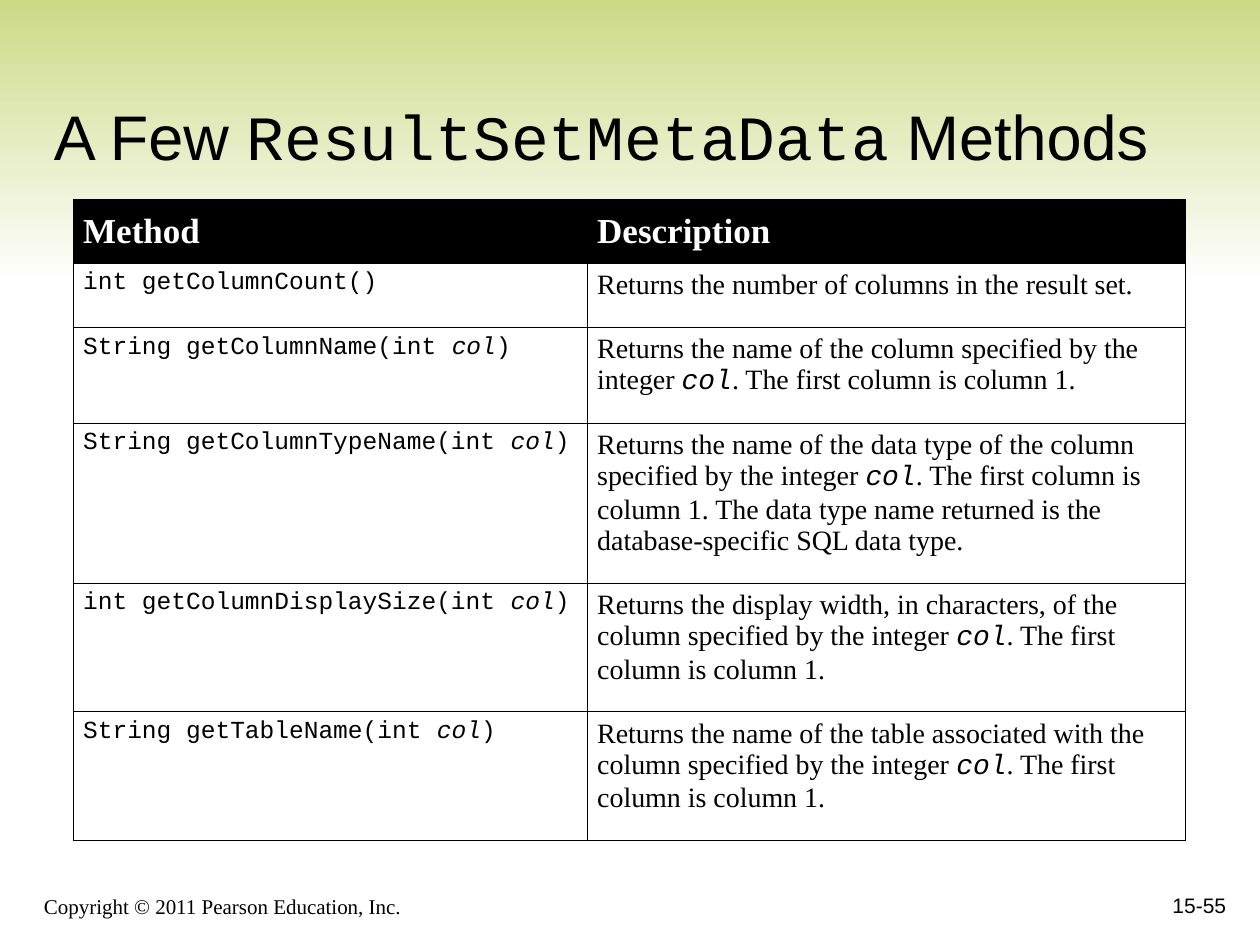
from lxml import etree
from pptx import Presentation
from pptx.dml.color import RGBColor
from pptx.enum.shapes import MSO_SHAPE
from pptx.enum.text import MSO_ANCHOR, PP_ALIGN
from pptx.oxml.ns import qn
from pptx.util import Inches, Pt

RECTANGLE = MSO_SHAPE.RECTANGLE
TOP, MIDDLE, BOTTOM = MSO_ANCHOR.TOP, MSO_ANCHOR.MIDDLE, MSO_ANCHOR.BOTTOM
LEFT, RIGHT = PP_ALIGN.LEFT, PP_ALIGN.RIGHT

BLACK = RGBColor(0x00, 0x00, 0x00)
WHITE = RGBColor(0xFF, 0xFF, 0xFF)
GREEN = RGBColor(0xCA, 0xD8, 0x81)

SANS, SERIF, MONO = "Arial", "Times New Roman", "Courier New"
BORDER_WIDTH = Pt(0.45)
PARAMETER = "col"
MARK = "{col}"

COLUMN_WIDTHS = [4.08, 4.75]
ROW_HEIGHTS = [0.51, 0.51, 0.76, 1.27, 1.02, 1.02]
HEADINGS = ["Method", "Description"]
METHODS = [
    ("int getColumnCount()",
     "Returns the number of columns in the result set."),
    ("String getColumnName(int {col})",
     "Returns the name of the column specified by the integer {col}. "
     "The first column is column 1."),
    ("String getColumnTypeName(int {col})",
     "Returns the name of the data type of the column specified by the "
     "integer {col}. The first column is column 1. The data type name "
     "returned is the database-specific SQL data type."),
    ("int getColumnDisplaySize(int {col})",
     "Returns the display width, in characters, of the column specified by "
     "the integer {col}. The first column is column 1."),
    ("String getTableName(int {col})",
     "Returns the name of the table associated with the column specified by "
     "the integer {col}. The first column is column 1."),
]

HEADING_FORMAT = {"name": SERIF, "size": Pt(20), "bold": True}
METHOD_FORMAT = {"name": MONO, "size": Pt(14), "bold": False}
DESCRIPTION_FORMAT = {"name": SERIF, "size": Pt(16), "bold": False}


def add_run(paragraph, text, color, **formats):
    run = paragraph.add_run()
    run.text = text
    run.font.color.rgb = color
    for key, value in formats.items():
        setattr(run.font, key, value)


def add_band(slide, left, top, width, height):
    """Fade from green to white across the head of the slide."""
    band = slide.shapes.add_shape(RECTANGLE, left, top, width, height)
    band.shadow.inherit = False
    band.line.fill.background()
    band.fill.gradient()
    band.fill.gradient_angle = 270
    for stop, color in zip(band.fill.gradient_stops, (GREEN, WHITE)):
        stop.color.rgb = color


def add_text(slide, left, top, width, height, parts, size, align=LEFT):
    """Place one bottom-anchored line made of (text, font name) parts."""
    frame = slide.shapes.add_textbox(left, top, width, height).text_frame
    frame.word_wrap = True
    frame.vertical_anchor = BOTTOM
    paragraph = frame.paragraphs[0]
    paragraph.alignment = align
    for text, name in parts:
        add_run(paragraph, text, BLACK, name=name, size=size)


def add_borders(cell):
    properties = cell._tc.get_or_add_tcPr()
    for position, side in enumerate(("a:lnL", "a:lnR", "a:lnT", "a:lnB")):
        line = etree.Element(qn(side), w=str(BORDER_WIDTH))
        fill = etree.SubElement(line, qn("a:solidFill"))
        etree.SubElement(fill, qn("a:srgbClr"), val=str(BLACK))
        properties.insert(position, line)


def fill_cell(cell, text, background, color, anchor, formats):
    """Write the text, with the marked parameter in italic monospace."""
    cell.fill.solid()
    cell.fill.fore_color.rgb = background
    cell.vertical_anchor = anchor
    cell.margin_left = cell.margin_right = Inches(0.08)
    add_borders(cell)
    paragraph = cell.text_frame.paragraphs[0]
    before, mark, after = text.partition(MARK)
    add_run(paragraph, before, color, **formats)
    if mark:
        add_run(paragraph, PARAMETER, color,
                **{**formats, "name": MONO, "italic": True})
        add_run(paragraph, after, color, **formats)


def add_methods_table(slide, left, top, width, height):
    table = slide.shapes.add_table(
        len(ROW_HEIGHTS), len(COLUMN_WIDTHS), left, top, width, height).table
    for column, column_width in zip(table.columns, COLUMN_WIDTHS):
        column.width = Inches(column_width)
    for row, row_height in zip(table.rows, ROW_HEIGHTS):
        row.height = Inches(row_height)
    for column, heading in enumerate(HEADINGS):
        fill_cell(table.cell(0, column), heading, BLACK, WHITE, MIDDLE,
                  HEADING_FORMAT)
    for row, texts in enumerate(METHODS, start=1):
        for column, formats in enumerate((METHOD_FORMAT, DESCRIPTION_FORMAT)):
            fill_cell(table.cell(row, column), texts[column], WHITE, BLACK,
                      TOP, formats)


def main():
    presentation = Presentation()
    presentation.slide_width = Inches(10)
    presentation.slide_height = Inches(7.5)
    slide = presentation.slides.add_slide(presentation.slide_layouts[6])

    add_band(slide, Inches(0), Inches(-0.08), Inches(10), Inches(2.33))
    add_text(slide, Inches(0.25), Inches(6.92), Inches(6.08), Inches(0.42),
             [("Copyright © 2011 Pearson Education, Inc.", SERIF)], Pt(12))
    add_text(slide, Inches(0.33), Inches(0.33), Inches(9.42), Inches(1.09),
             [("A Few ", SANS), ("ResultSetMetaData", MONO),
              (" Methods", SANS)], Pt(36))
    add_text(slide, Inches(7.75), Inches(6.83), Inches(2.08), Inches(0.5),
             [("15-55", SANS)], Pt(12), RIGHT)
    add_methods_table(slide, Inches(0.58), Inches(1.58),
                      Inches(sum(COLUMN_WIDTHS)), Inches(sum(ROW_HEIGHTS)))
    presentation.save("out.pptx")


if __name__ == "__main__":
    main()
